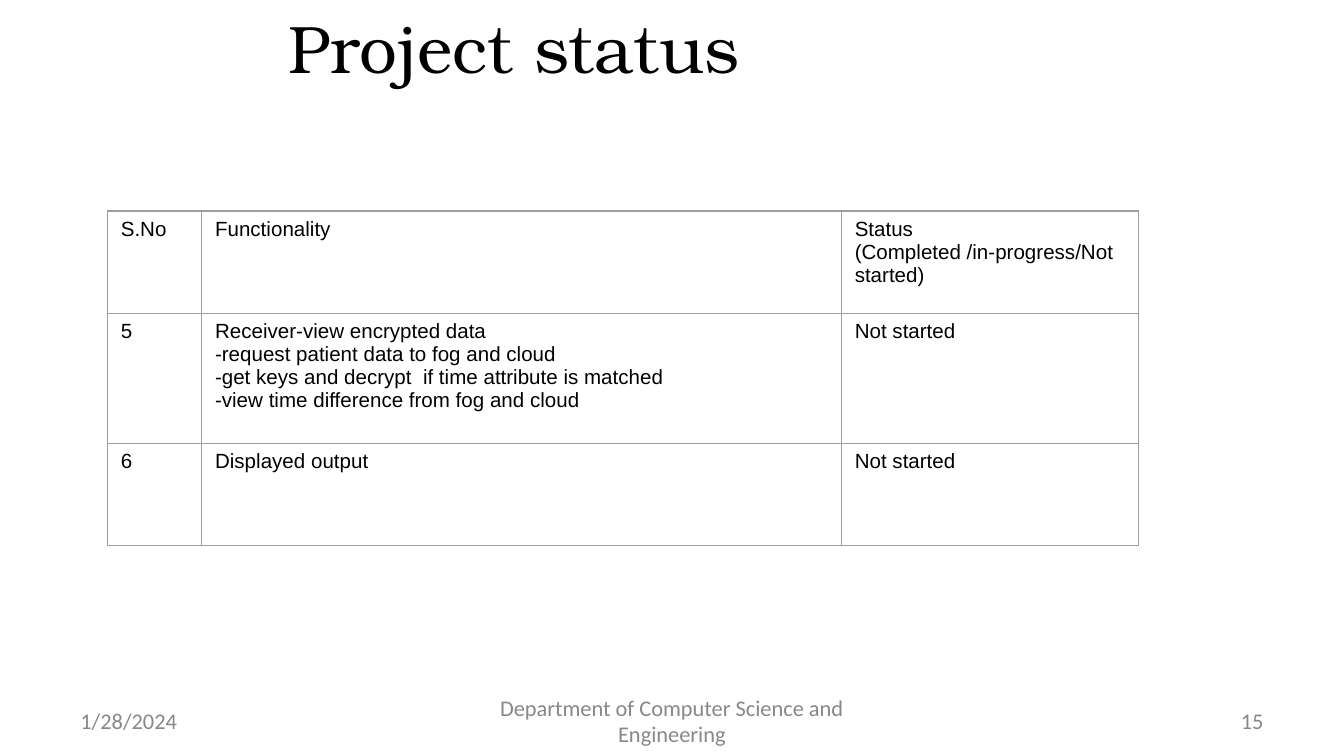
from lxml import etree
from pptx import Presentation
from pptx.dml.color import RGBColor
from pptx.enum import text as t
from pptx.oxml import ns
from pptx.util import Cm, Pt

BLACK = RGBColor(0x00, 0x00, 0x00)
GREY = RGBColor(0x88, 0x88, 0x88)
RULE = RGBColor(0x9E, 0x9E, 0x9E)

COLS = (1.78, 12.09, 5.61)
HIGHS = (1.93, 2.46, 1.93)
ROWS = (
    ("S.No", "Functionality",
     "Status\n(Completed /in-progress/Not started)"),
    ("5",
     "Receiver-view encrypted data\n"
     "-request patient data to fog and cloud\n"
     "-get keys and decrypt  if time attribute is matched\n"
     "-view time difference from fog and cloud",
     "Not started"),
    ("6", "Displayed output", "Not started"),
)


def write(frame, words, size=11, font="Arial", color=BLACK,
          align=t.PP_ALIGN.LEFT):
    """Fill a text frame, one paragraph for each line of words."""
    frame.word_wrap = True
    frame.text = words
    for para in frame.paragraphs:
        para.alignment = align
        for run in para.runs:
            run.font.size = Pt(size)
            run.font.name = font
            run.font.color.rgb = color


def add_title(slide, words):
    title = slide.shapes.title
    title.left, title.top = Cm(1.22), Cm(0)
    title.width, title.height = Cm(17), Cm(1.75)
    frame = title.text_frame
    frame.auto_size = t.MSO_AUTO_SIZE.NONE
    frame.vertical_anchor = t.MSO_ANCHOR.MIDDLE
    write(frame, words, size=36, font="TeX Gyre Bonum",
          align=t.PP_ALIGN.CENTER)


def add_foot(slide, words, left, width, align):
    box = slide.shapes.add_textbox(Cm(left), Cm(13.24), Cm(width), Cm(0.76))
    frame = box.text_frame
    frame.vertical_anchor = t.MSO_ANCHOR.MIDDLE
    write(frame, words, size=12, font="Calibri", color=GREY, align=align)


def rule_cell(cell):
    """Draw a thin line on all four sides of a cell."""
    props = cell._tc.get_or_add_tcPr()
    for side in ("lnL", "lnR", "lnT", "lnB"):
        line = etree.SubElement(props, ns.qn(f"a:{side}"), w=str(Pt(0.75)))
        fill = etree.SubElement(line, ns.qn("a:solidFill"))
        etree.SubElement(fill, ns.qn("a:srgbClr"), val=str(RULE))


def add_grid(slide):
    frame = slide.shapes.add_table(len(ROWS), len(COLS), Cm(2.03), Cm(3.99),
                                   Cm(sum(COLS)), Cm(sum(HIGHS)))
    table = frame.table
    table.first_row = table.horz_banding = False
    for col, width in zip(table.columns, COLS):
        col.width = Cm(width)
    for row, high, texts in zip(table.rows, HIGHS, ROWS):
        row.height = Cm(high)
        for cell, words in zip(row.cells, texts):
            rule_cell(cell)
            cell.fill.background()
            write(cell.text_frame, words)


def main():
    deck = Presentation()
    deck.slide_width, deck.slide_height = Cm(25.4), Cm(14.29)
    slide = deck.slides.add_slide(deck.slide_layouts[5])
    add_title(slide, "Project status")
    add_grid(slide)
    add_foot(slide, "1/28/2024", 1.27, 5.93, t.PP_ALIGN.LEFT)
    add_foot(slide, "Department of Computer Science and Engineering",
             8.68, 8.04, t.PP_ALIGN.CENTER)
    add_foot(slide, "15", 18.2, 5.93, t.PP_ALIGN.RIGHT)
    deck.save("out.pptx")


if __name__ == "__main__":
    main()
